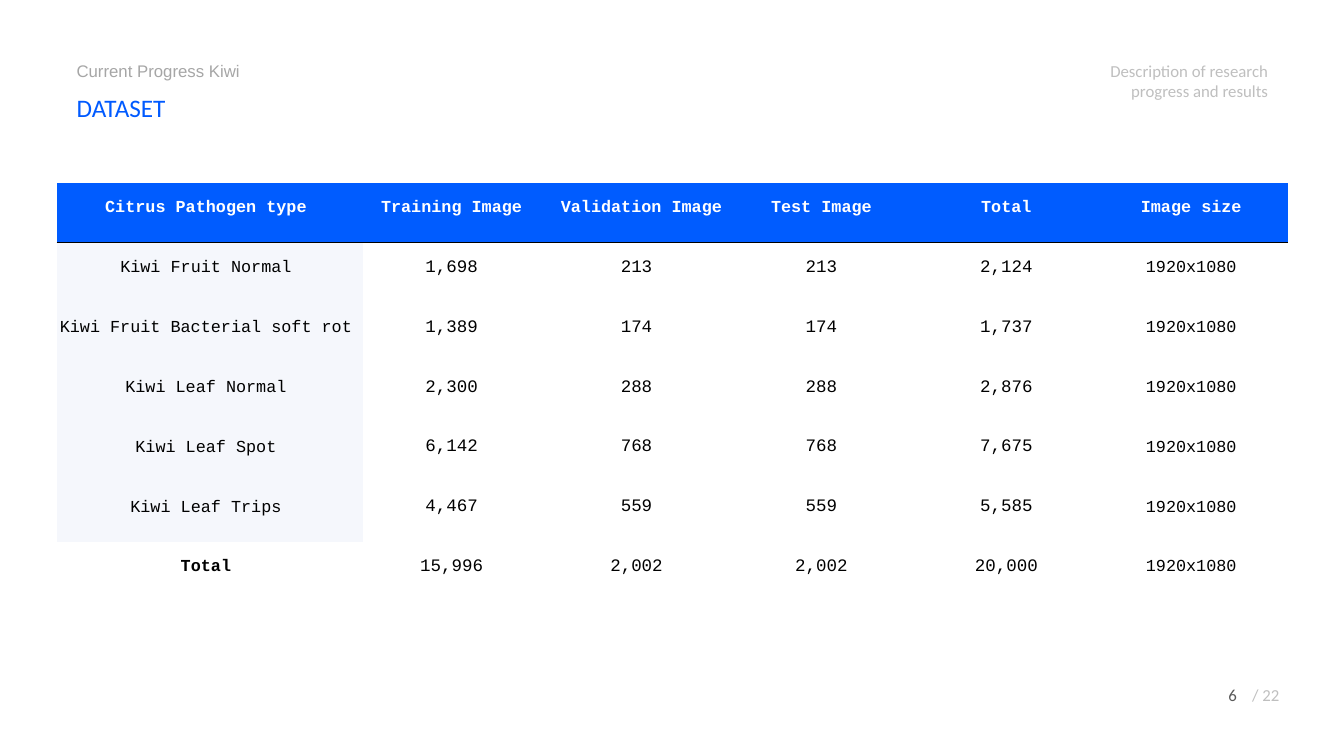
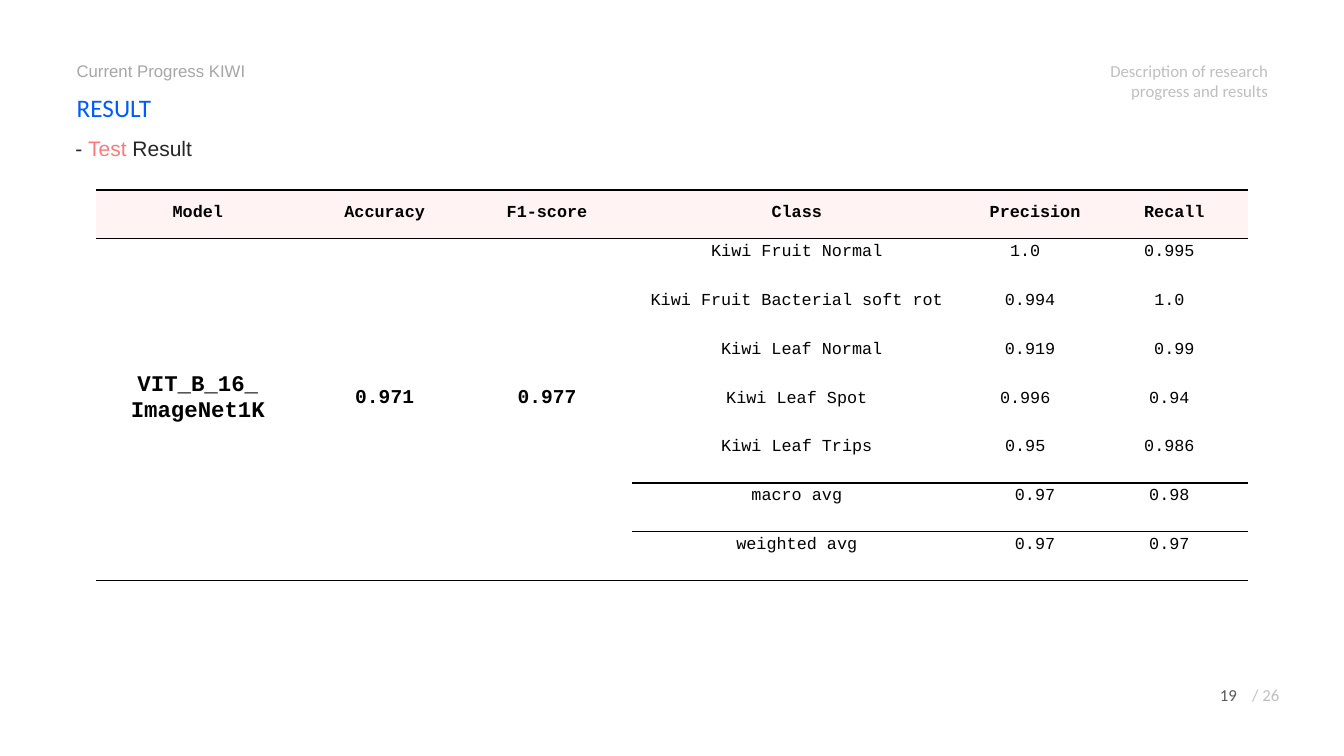
"""Build the kiwi dataset and test result slides."""
from dataclasses import dataclass

import lxml.etree
import pptx
import pptx.dml.color
import pptx.enum.text
import pptx.oxml.ns
import pptx.util

Cm = pptx.util.Cm
Anchor = pptx.enum.text.MSO_ANCHOR
Align = pptx.enum.text.PP_ALIGN


@dataclass(frozen=True)
class Theme:
    heading: str = "005AFF"
    header: str = "005CFF"
    label: str = "F5F7FC"
    blush: str = "FFF3F3"
    coral: str = "F57B7E"
    white: str = "FFFFFF"
    ink: str = "000000"
    dark: str = "262626"
    number: str = "595959"
    kicker: str = "A6A6A6"
    pale: str = "BFBFBF"
    sans: str = "Arial"
    display: str = "Calibri"
    mono: str = "Courier New"
    small: float = 12
    figure: float = 12.5
    score: float = 14
    lead: float = 15
    model: float = 16
    title: float = 18


theme = Theme()


def write(para, text, size=theme.small, font=theme.display, color=theme.ink, bold=False, align=Align.LEFT):
    para.alignment = align
    span = para.add_run()
    span.text = text
    span.font.size = pptx.util.Pt(size)
    span.font.name = font
    span.font.bold = bold
    span.font.color.rgb = pptx.dml.color.RGBColor.from_string(color)


def draw_rule(cell, edge):
    namespace = pptx.oxml.ns.nsdecls("a")
    line = pptx.oxml.parse_xml(
        f'<a:{edge} {namespace} w="12700"><a:solidFill><a:srgbClr val="{theme.ink}"/></a:solidFill></a:{edge}>'
    )
    cell._tc.get_or_add_tcPr().insert(0, line)


deck = pptx.Presentation()
deck.slide_width = Cm(33.87)
deck.slide_height = Cm(19.05)

pages = []
for heading, kicker, number, count in [
    ("DATASET", "Current Progress Kiwi", "6", "22"),
    ("RESULT", "Current Progress KIWI", "19", "26"),
]:
    page = deck.slides.add_slide(deck.slide_layouts[5])
    pages.append(page)
    title = page.shapes.title
    title.left, title.top, title.width, title.height = Cm(1.68), Cm(2.21), Cm(6), Cm(1.02)
    title.text_frame.auto_size = pptx.enum.text.MSO_AUTO_SIZE.NONE
    title.text_frame.vertical_anchor = Anchor.TOP
    write(title.text_frame.paragraphs[0], heading, size=theme.title, color=theme.heading)
    for left, top, width, height, text, style in [
        (1.68, 1.4, 6, 1.27, kicker, dict(font=theme.sans, color=theme.kicker)),
        (26.21, 1.4, 6, 1.27, "Description of research progress and results",
         dict(color=theme.pale, align=Align.RIGHT)),
        (29.67, 17.12, 1.75, 0.76, number, dict(color=theme.number, align=Align.RIGHT)),
        (30.94, 17.12, 1.55, 0.76, f"/ {count}", dict(color=theme.pale, align=Align.RIGHT)),
    ]:
        box = page.shapes.add_textbox(Cm(left), Cm(top), Cm(width), Cm(height))
        box.text_frame.word_wrap = True
        write(box.text_frame.paragraphs[0], text, **style)

dataset_page, result_page = pages

box = result_page.shapes.add_textbox(Cm(1.65), Cm(3.07), Cm(9.73), Cm(1.07))
box.text_frame.word_wrap = True
para = box.text_frame.paragraphs[0]
para.line_spacing = pptx.util.Pt(24)
for text, color in [("- ", theme.dark), ("Test", theme.coral), (" Result", theme.dark)]:
    write(para, text, size=theme.lead, font=theme.sans, color=color)

dataset_rows = [
    ["Citrus Pathogen type", "Training Image", "Validation Image", "Test Image", "Total", "Image size"],
    ["Kiwi Fruit Normal", "1,698", "213", "213", "2,124", "1920x1080"],
    ["Kiwi Fruit Bacterial soft rot", "1,389", "174", "174", "1,737", "1920x1080"],
    ["Kiwi Leaf Normal", "2,300", "288", "288", "2,876", "1920x1080"],
    ["Kiwi Leaf Spot", "6,142", "768", "768", "7,675", "1920x1080"],
    ["Kiwi Leaf Trips", "4,467", "559", "559", "5,585", "1920x1080"],
    ["Total", "15,996", "2,002", "2,002", "20,000", "1920x1080"],
]
result_rows = [
    ["Model", "Accuracy", "F1-score", "Class", "Precision", "Recall"],
    ["VIT_B_16_\nImageNet1K", "0.971", "0.977", "Kiwi Fruit Normal", "1.0", "0.995"],
    ["", "", "", "Kiwi Fruit Bacterial soft rot", "0.994", "1.0"],
    ["", "", "", "Kiwi Leaf Normal", "0.919", "0.99"],
    ["", "", "", "Kiwi Leaf Spot", "0.996", "0.94"],
    ["", "", "", "Kiwi Leaf Trips", "0.95", "0.986"],
    ["", "", "", "macro avg", "0.97", "0.98"],
    ["", "", "", "weighted avg", "0.97", "0.97"],
]
layouts = [
    dict(
        page=dataset_page, rows=dataset_rows, left=1.43, top=4.61, row_height=1.51,
        widths=[7.72] + [4.66] * 5,
        sizes=[theme.small] + [theme.figure] * 4 + [theme.small],
        anchor=Anchor.BOTTOM, header_fill=theme.header, header_ink=theme.white,
        header_margins=(0.08, 0.64), merged=0, label_rows=range(1, 6), bold_rows=[6],
        rules=[(0, 0, "lnB")],
        nudges={(0, 2): -1},
    ),
    dict(
        page=result_page, rows=result_rows, left=2.42, top=4.79, row_height=1.23,
        widths=[5.33, 4.09, 4.09, 8.5, 3.51, 3.51],
        sizes=[theme.model, theme.score, theme.score] + [theme.small] * 3,
        anchor=Anchor.MIDDLE, header_fill=theme.blush, header_ink=theme.ink,
        header_margins=(0.2, 0.41), merged=3, label_rows=[], bold_rows=[],
        rules=[(0, 0, "lnB"), (0, 0, "lnT"), (5, 3, "lnB"), (6, 3, "lnB"), (7, 0, "lnB"), (1, 0, "lnB")],
        nudges={
            (1, 4): 2, (2, 4): 1, (3, 4): 1, (4, 4): 2, (5, 4): 2, (3, 3): -1,
            **{(row, 5): 1 for row in (1, 2, 4, 5, 6, 7)},
        },
    ),
]
character = 0.25
plain_style = "{2D5ABB26-0587-4C30-8999-92F81FD0307C}"

for layout in layouts:
    rows, widths, merged = layout["rows"], layout["widths"], layout["merged"]
    frame = layout["page"].shapes.add_table(
        len(rows), len(widths), Cm(layout["left"]), Cm(layout["top"]),
        Cm(sum(widths)), Cm(layout["row_height"] * len(rows)),
    )
    table = frame.table
    table.horz_banding = False
    table._tbl.tblPr.find(pptx.oxml.ns.qn("a:tableStyleId")).text = plain_style
    for column, width in zip(table.columns, widths):
        column.width = Cm(width)
    for row in table.rows:
        row.height = Cm(layout["row_height"])
    for column in range(merged):
        table.cell(1, column).merge(table.cell(len(rows) - 1, column))

    for r, texts in enumerate(rows):
        for c, text in enumerate(texts):
            cell = table.cell(r, c)
            fill = None
            if r == 0:
                fill = layout["header_fill"]
            elif c == 0 and r in layout["label_rows"]:
                fill = theme.label
            if fill:
                cell.fill.solid()
                cell.fill.fore_color.rgb = pptx.dml.color.RGBColor.from_string(fill)
            else:
                cell.fill.background()
            if cell.is_spanned:
                continue
            nudge = layout["nudges"].get((r, c), 0) * character
            top, bottom = layout["header_margins"] if r == 0 else (0.08, 0.64)
            cell.margin_left = Cm(max(0, -nudge))
            cell.margin_right = Cm(0.2 + max(0, nudge))
            cell.margin_top, cell.margin_bottom = Cm(top), Cm(bottom)
            cell.vertical_anchor = Anchor.BOTTOM if r == 0 else layout["anchor"]
            for index, line in enumerate(text.split("\n")):
                para = cell.text_frame.add_paragraph() if index else cell.text_frame.paragraphs[0]
                write(
                    para, line, font=theme.mono, align=Align.CENTER,
                    size=layout["sizes"][c] if r else theme.small,
                    color=theme.ink if r else layout["header_ink"],
                    bold=r == 0 or c < merged or (c == 0 and r in layout["bold_rows"]),
                )

    for r, first, edge in layout["rules"]:
        for c in range(first, len(widths)):
            cell = table.cell(r, c)
            if r != 1 or cell.is_merge_origin:
                draw_rule(cell, edge)

deck.save("out.pptx")
